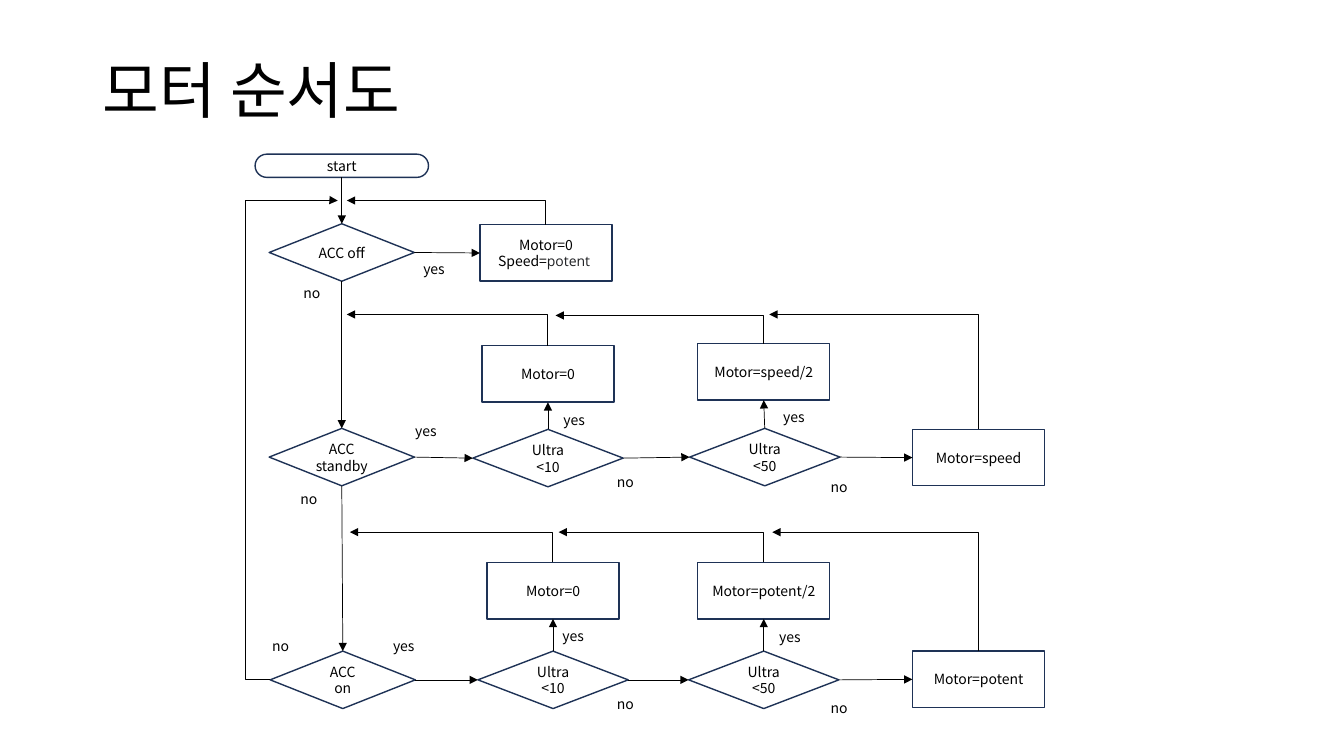
"""Build a slide with the flowchart of a motor control loop."""
from lxml import etree
from pptx import Presentation
from pptx import util as u
from pptx.dml.color import RGBColor
from pptx.enum import shapes, text
from pptx.oxml.ns import qn

BLACK = RGBColor(0x00, 0x00, 0x00)
NAVY = RGBColor(0x1E, 0x32, 0x56)
GREY = RGBColor(0x20, 0x21, 0x24)
SANS = "Noto Sans CJK KR"
PX = 9144
TOP, LEFT, BOTTOM, RIGHT = range(4)
RECT = shapes.MSO_SHAPE.RECTANGLE
DECISION = shapes.MSO_SHAPE.FLOWCHART_DECISION
PILL = shapes.MSO_SHAPE.ROUNDED_RECTANGLE


class Flow:
    body = {"size": u.Pt(10), "bold": False, "name": SANS}
    heading = {**body, "size": u.Pt(44)}
    frame = {"word_wrap": True, "vertical_anchor": text.MSO_ANCHOR.MIDDLE}
    label_frame = {"word_wrap": True, "auto_size": text.MSO_AUTO_SIZE.SHAPE_TO_FIT_TEXT}
    title_frame = {**frame, "auto_size": text.MSO_AUTO_SIZE.NONE}

    def __init__(self, s):
        self.s = s

    def apply(self, target, values):
        for key, value in values.items():
            setattr(target, key, value)

    def run(self, p, words, style, color=BLACK):
        r = p.add_run()
        r.text = words
        self.apply(r.font, style)
        r.font.color.rgb = color
        etree.SubElement(r.font._element, qn("a:ea"), typeface=style["name"])

    def title(self, words, x, y, w, h):
        sp = self.s.shapes.title
        self.apply(sp, {"left": x * PX, "top": y * PX, "width": w * PX, "height": h * PX})
        self.apply(sp.text_frame, self.title_frame)
        p = sp.text_frame.paragraphs[0]
        self.apply(p, {"alignment": text.PP_ALIGN.LEFT, "line_spacing": 0.9})
        self.run(p, words, self.heading)

    def node(self, kind, words, x, y, w, h):
        sp = self.s.shapes.add_shape(kind, x * PX, y * PX, w * PX, h * PX)
        sp.shadow.inherit = False
        sp.fill.background()
        sp.line.color.rgb = NAVY
        sp.line.width = u.Pt(1)
        tf = sp.text_frame
        self.apply(tf, self.frame)
        for i, line in enumerate(words.split("\n")):
            p = tf.add_paragraph() if i else tf.paragraphs[0]
            p.alignment = text.PP_ALIGN.CENTER
            self.run(p, line, self.body)
        return sp

    def label(self, words, x, y):
        sp = self.s.shapes.add_textbox(x * PX, y * PX, 44 * PX, 27 * PX)
        self.apply(sp.text_frame, self.label_frame)
        self.run(sp.text_frame.paragraphs[0], words, self.body)

    def line(self, kind, x1, y1, x2, y2):
        c = self.s.shapes.add_connector(kind, *(round(v * PX) for v in (x1, y1, x2, y2)))
        c.line.color.rgb = BLACK
        c.line.width = u.Pt(0.5)
        etree.SubElement(c.line._get_or_add_ln(), qn("a:tailEnd"), type="triangle")
        etree.SubElement(c._element.spPr, qn("a:effectLst"))
        return c

    def join(self, a, side_a, b, side_b):
        c = self.line(shapes.MSO_CONNECTOR.STRAIGHT, 0, 0, 1, 1)
        c.begin_connect(a, side_a)
        c.end_connect(b, side_b)

    def bend(self, preset, degrees, ends, adjust=()):
        c = self.line(shapes.MSO_CONNECTOR.ELBOW, *ends)
        pr = c._element.spPr
        pr.find(qn("a:xfrm")).set("rot", str(degrees * 60000))
        geom = pr.find(qn("a:prstGeom"))
        geom.set("prst", preset)
        av = geom.find(qn("a:avLst"))
        if av is None:
            av = etree.SubElement(geom, qn("a:avLst"))
        for i, value in enumerate(adjust, 1):
            etree.SubElement(av, qn("a:gd"), name=f"adj{i}", fmla=f"val {value}")

    def up_left(self, x1, y1, x2, y2):
        cx, cy = (x1 + x2) / 2, (y1 + y2) / 2
        w, h = (y1 - y2) / 2, (x1 - x2) / 2
        self.bend("bentConnector2", 270, (cx - w, cy + h, cx + w, cy - h))


def main():
    prs = Presentation()
    prs.slide_width, prs.slide_height = 1333 * PX, 750 * PX
    f = Flow(prs.slides.add_slide(prs.slide_layouts[5]))
    f.title("모터 순서도", 92, 20, 1150, 145)

    start = f.node(PILL, "start", 253, 153, 172, 23)
    start.adjustments[0] = 0.5
    off = f.node(DECISION, "ACC off", 267, 222, 144, 57)
    stop = f.node(RECT, "Motor=0\nSpeed=", 476, 223, 131, 56)
    potent = {**f.body, "name": "Open Sans"}
    f.run(stop.text_frame.paragraphs[1], "potent ", potent, GREY)
    f.join(start, BOTTOM, off, TOP)
    f.join(off, RIGHT, stop, LEFT)
    f.up_left(541, 223, 344, 199)

    rows = [
        ("ACC standby", 267, 425, "Motor=speed", 426,
         [("Ultra <10", 469, 426, "Motor=0", 478, 343, 344, 312),
          ("Ultra <50", 684, 425, "Motor=speed/2", 692, 341, 551, 313)], (763, 312)),
        ("ACC\non", 268, 646, "Motor=potent", 646,
         [("Ultra <10", 474, 646, "Motor=0", 483, 558, 347, 528),
          ("Ultra <50", 683, 646, "Motor=potent/2", 692, 558, 554, 528)], (766, 528)),
    ]
    above = off
    for mode, x, y, last, last_y, tests, tip in rows:
        state = before = f.node(DECISION, mode, x, y, 144, 57)
        f.join(above, BOTTOM, state, TOP)
        for test, tx, ty, action, ax, ay, tip_x, tip_y in tests:
            check = f.node(DECISION, test, tx, ty, 149, 57)
            box = f.node(RECT, action, ax, ay, 131, 56)
            f.join(before, RIGHT, check, LEFT)
            f.join(check, TOP, box, BOTTOM)
            f.up_left(ax + 65, ay, tip_x, tip_y)
            before = check
        box = f.node(RECT, last, 905, last_y, 131, 56)
        f.join(before, RIGHT, box, LEFT)
        f.up_left(970, last_y, *tip)
        above = state
    f.bend("bentConnector4", 180, (335, 199, 268, 674), (-37300, 100100))

    labels = {
        "yes": [(410, 254), (402, 414), (549, 403), (767, 400),
                (380, 628), (548, 618), (763, 619)],
        "no": [(291, 277), (288, 482), (602, 465), (814, 470),
               (260, 628), (602, 685), (814, 689)],
    }
    for words, places in labels.items():
        for x, y in places:
            f.label(words, x, y)
    prs.save("out.pptx")


if __name__ == "__main__":
    main()
